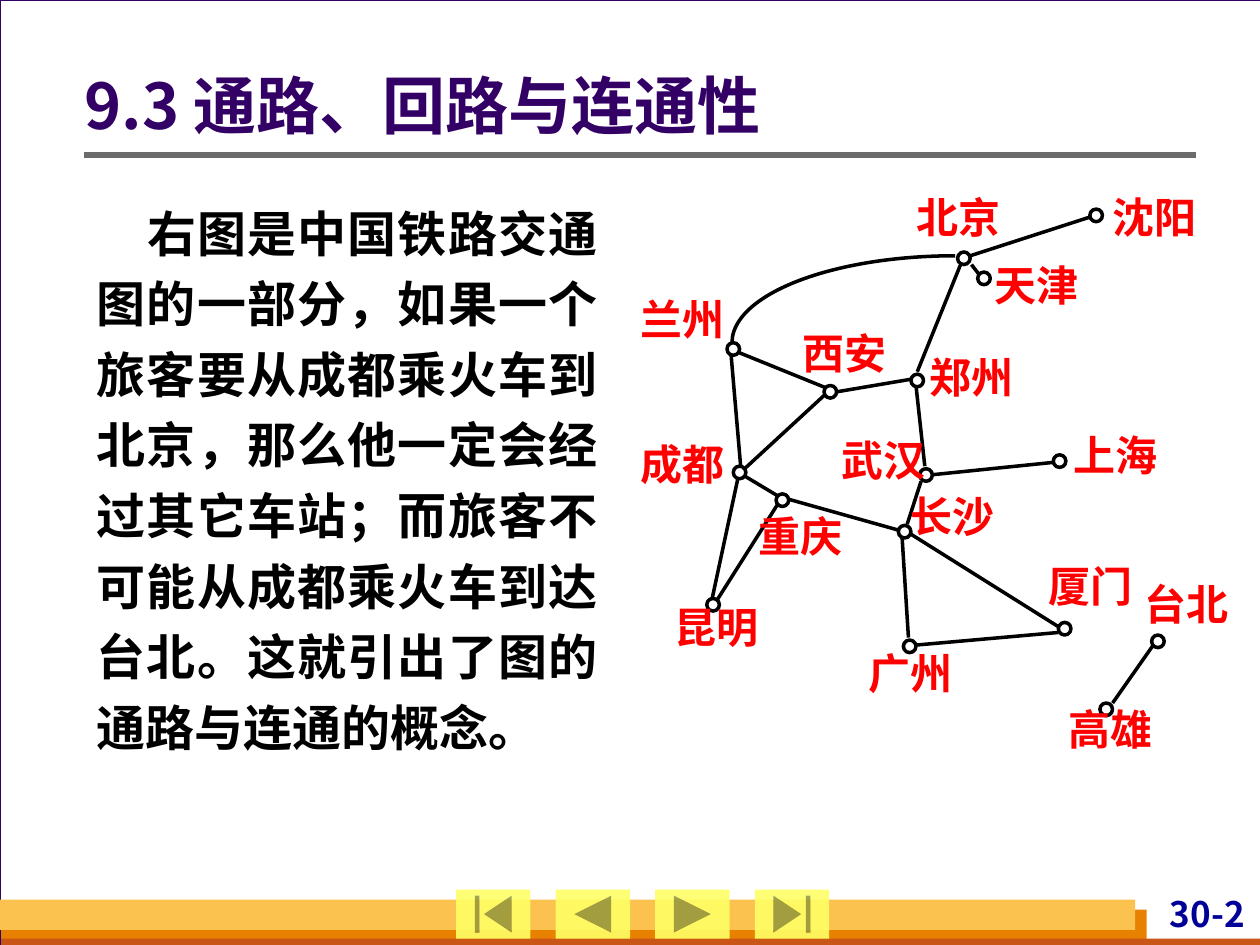
"""Build the slide on paths, circuits and connectivity with its railway graph."""
from lxml import etree
from pptx import Presentation
from pptx.dml.color import RGBColor
from pptx.enum.shapes import MSO_CONNECTOR, MSO_SHAPE
from pptx.enum.text import MSO_ANCHOR, PP_ALIGN
from pptx.oxml.ns import qn
from pptx.util import Inches, Pt

RECTANGLE, OVAL, ARC = MSO_SHAPE.RECTANGLE, MSO_SHAPE.OVAL, MSO_SHAPE.ARC
STRAIGHT = MSO_CONNECTOR.STRAIGHT
LEFT, RIGHT, JUSTIFY = PP_ALIGN.LEFT, PP_ALIGN.RIGHT, PP_ALIGN.JUSTIFY
TOP, MIDDLE = MSO_ANCHOR.TOP, MSO_ANCHOR.MIDDLE
BUTTONS = (
    MSO_SHAPE.ACTION_BUTTON_BEGINNING,
    MSO_SHAPE.ACTION_BUTTON_BACK_OR_PREVIOUS,
    MSO_SHAPE.ACTION_BUTTON_FORWARD_OR_NEXT,
    MSO_SHAPE.ACTION_BUTTON_END,
)

THEME = {
    "font": "Noto Sans CJK SC",
    "color": {
        name: RGBColor.from_string(value)
        for name, value in {
            "background": "D8DADA", "paper": "FFFFFF", "title": "330066",
            "orange": "E88000", "rust": "C95616", "amber": "FCC24F",
            "number": "000099", "rule": "6B6B6B", "button": "FFFF66",
            "ink": "000000", "city": "FF0000",
        }.items()
    },
    "size": {"title": Pt(36), "ink": Pt(28), "city": Pt(24), "number": Pt(20)},
}
COLOR = THEME["color"]

presentation = Presentation()
presentation.slide_width, presentation.slide_height = Inches(10), Inches(7.5)
slide = presentation.slides.add_slide(presentation.slide_layouts[6])
slide.background.fill.solid()
slide.background.fill.fore_color.rgb = COLOR["background"]


def add_shape(kind, box, fill=None, line=None, width=2):
    shape = slide.shapes.add_shape(kind, *map(Inches, box))
    shape.shadow.inherit = False
    for target, color in ((shape.fill, fill), (shape.line.fill, line)):
        if color:
            target.solid()
            target.fore_color.rgb = COLOR[color]
        else:
            target.background()
    if line:
        shape.line.width = Pt(width)
    return shape


def add_text(text, box, style, margins, alignment, anchor=TOP, spacing=1.0):
    frame = slide.shapes.add_textbox(*map(Inches, box)).text_frame
    paragraph = frame.paragraphs[0]
    run = paragraph.add_run()
    run.text = text
    left, top, right, bottom = map(Inches, margins)
    formats = (
        (frame, {"word_wrap": True, "vertical_anchor": anchor,
                 "margin_left": left, "margin_top": top,
                 "margin_right": right, "margin_bottom": bottom}),
        (paragraph, {"alignment": alignment, "line_spacing": spacing}),
        (run.font, {"name": THEME["font"], "size": THEME["size"][style], "bold": True}),
    )
    for target, values in formats:
        for name, value in values.items():
            setattr(target, name, value)
    run.font.color.rgb = COLOR[style]
    east_asian = etree.SubElement(run.font._element, qn("a:ea"))
    east_asian.set("typeface", THEME["font"])
    return paragraph


add_shape(RECTANGLE, (0, 0, 10.01, 7.5), "paper", "title", 0.75)
for box, color in (
    ((0.01, 7.22, 9.09, 0.28), "orange"),
    ((0.01, 7.45, 10, 0.08), "rust"),
    ((0, 7.14, 9.01, 0.24), "amber"),
):
    add_shape(RECTANGLE, box, color)
add_text("30-2", (8.7, 7.08, 1.22, 0.38), "number", (0.04, 0, 0.04, 0), RIGHT)

for index, kind in enumerate(BUTTONS):
    button = add_shape(kind, (3.62 + 0.79 * index, 7.06, 0.59, 0.39), "button")
    color = button._element.spPr.find(".//" + qn("a:srgbClr"))
    etree.SubElement(color, qn("a:alpha")).set("val", "90000")

add_text("9.3 通路、回路与连通性", (0.67, 0.36, 8.82, 1.01), "title",
         (0, 0.05, 0.1, 0.05), LEFT, MIDDLE, 0.9)
introduction = add_text(
    "右图是中国铁路交通图的一部分，如果一个旅客要从成都乘火车到北京，"
    "那么他一定会经过其它车站；而旅客不可能从成都乘火车到达台北。"
    "这就引出了图的通路与连通的概念。",
    (0.67, 1.47, 4.17, 4.59), "ink", (0.1, 0.05, 0.1, 0.05), JUSTIFY, spacing=1.2)
introduction._p.get_or_add_pPr().set("indent", str(Inches(0.4)))

TITLE_RULE = (0.67, 1.23, 9.49, 1.23)
RAILWAYS = (
    (5.82, 2.78, 6.56, 3.08), (5.88, 3.76, 6.18, 3.94), (5.86, 3.78, 5.65, 4.76),
    (6.18, 3.99, 5.68, 4.78), (6.55, 3.13, 5.91, 3.72), (5.8, 2.79, 5.88, 3.72),
    (6.25, 3.96, 7.14, 4.21), (7.16, 4.27, 7.21, 5.06), (6.64, 3.11, 7.23, 3.01),
    (7.27, 3.06, 7.34, 3.7), (7.31, 3.82, 7.2, 4.16), (7.38, 3.77, 8.36, 3.67),
    (7.64, 2.06, 7.28, 2.95), (7.67, 2.04, 8.66, 1.72), (7.71, 2.1, 7.78, 2.19),
    (7.23, 4.24, 8.41, 4.98), (8.4, 5.02, 7.27, 5.12), (9.16, 5.11, 8.83, 5.58),
)
for ends in (TITLE_RULE, *RAILWAYS):
    connector = slide.shapes.add_connector(STRAIGHT, *map(Inches, ends))
    is_rule = ends == TITLE_RULE
    connector.line.color.rgb = COLOR["rule" if is_rule else "ink"]
    connector.line.width = Pt(3 if is_rule else 2)
    etree.SubElement(connector._element.spPr, qn("a:effectLst"))

curved_railway = add_shape(ARC, (5.81, 2.03, 3.54, 1.38), line="ink")
curved_railway.adjustments[0] = 108
curved_railway.adjustments[1] = 162

CITIES = {
    "成都": ((5.82, 3.7), (5.08, 3.48)),
    "重庆": ((6.16, 3.92), (6.02, 4.05)),
    "郑州": ((7.23, 2.97), (7.38, 2.79)),
    "西安": ((6.54, 3.06), (6.37, 2.6)),
    "北京": ((7.6, 2), (7.27, 1.52)),
    "长沙": ((7.13, 4.17), (7.23, 3.89)),
    "上海": ((8.36, 3.61), (8.52, 3.41)),
    "天津": ((7.76, 2.16), (7.89, 2.06)),
    "沈阳": ((8.65, 1.66), (8.83, 1.52)),
    "兰州": ((5.77, 2.72), (5.08, 2.33)),
    "广州": ((7.17, 5.08), (6.89, 5.14)),
    "昆明": ((5.61, 4.75), (5.35, 4.77)),
    "武汉": ((7.3, 3.72), (6.68, 3.45)),
    "厦门": ((8.4, 4.94), (8.32, 4.45)),
    "高雄": ((8.73, 5.58), (8.48, 5.58)),
    "台北": ((9.14, 5.04), (9.08, 4.59)),
}
for city, (station, label) in CITIES.items():
    add_shape(OVAL, (*station, 0.1, 0.1), "paper", "ink")
    add_text(city, (*label, 0.69, 0.49), "city", (0, 0, 0, 0), JUSTIFY)

presentation.save("out.pptx")
